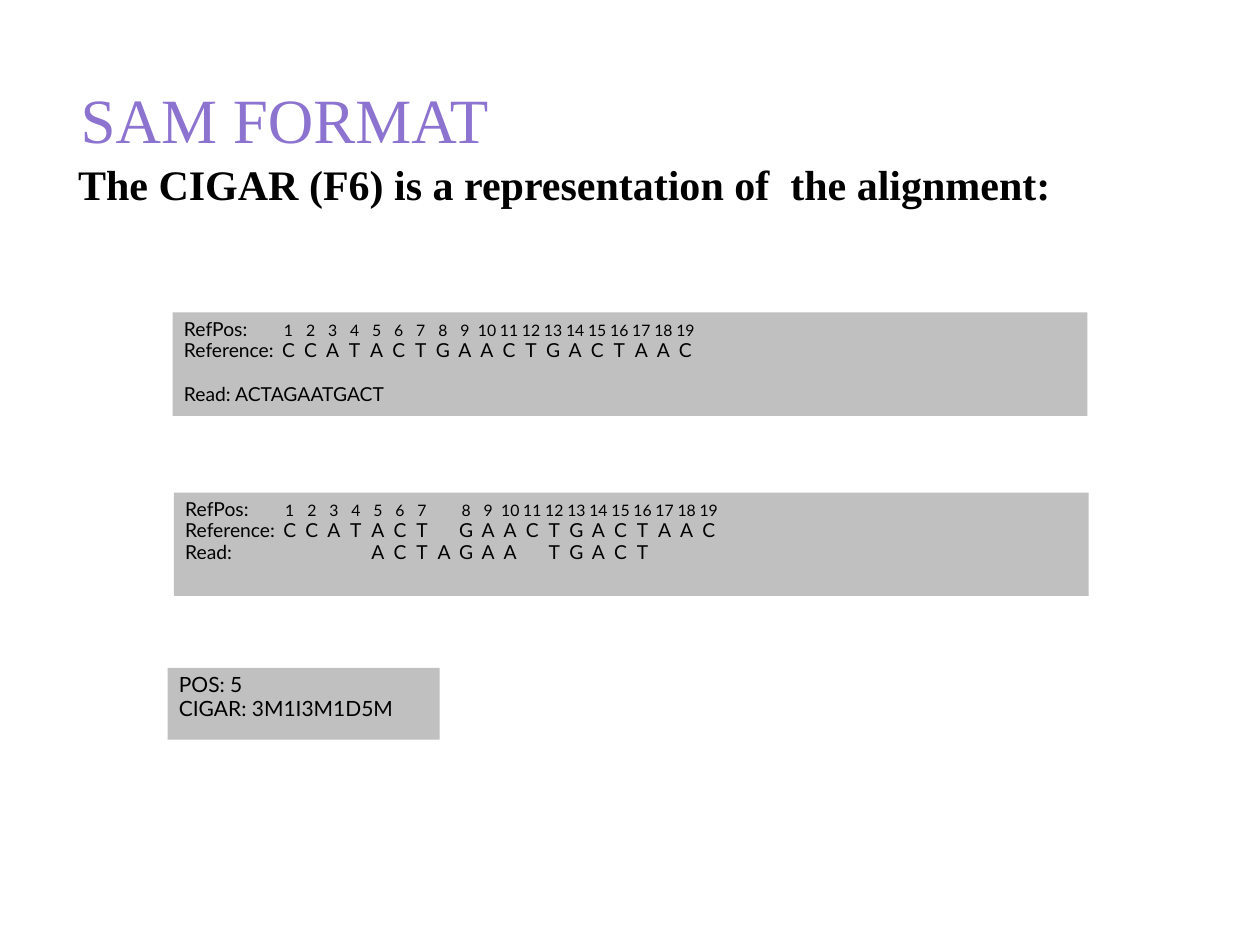
"""Build the slide that explains the CIGAR field of the SAM format."""
import pptx
import pptx.dml.color
import pptx.enum.shapes
import pptx.enum.text
import pptx.oxml.ns
import pptx.util
from lxml import etree

Inches = pptx.util.Inches
Pt = pptx.util.Pt
BLACK = pptx.dml.color.RGBColor(0x00, 0x00, 0x00)
PURPLE = pptx.dml.color.RGBColor(0x8C, 0x73, 0xD0)
GREY = pptx.dml.color.RGBColor(0xC0, 0xC0, 0xC0)
SERIF = "Times New Roman"
SANS = "Lato"
FIRST_BASE, LAST_BASE, BASES = 0.83, 3.98, 19
BASE_PITCH = (LAST_BASE - FIRST_BASE) / (BASES - 1)


def write(paragraph, text, font=SANS, size=11, color=BLACK, bold=False):
    run = paragraph.add_run()
    run.text = text
    run.font.name = font
    run.font.size = Pt(size)
    run.font.color.rgb = color
    run.font.bold = bold


def set_base_tabs(paragraph, count):
    properties = paragraph._p.get_or_add_pPr()
    tabs = etree.SubElement(properties, pptx.oxml.ns.qn("a:tabLst"))
    for column in range(count):
        position = Inches(FIRST_BASE + column * BASE_PITCH)
        etree.SubElement(tabs, pptx.oxml.ns.qn("a:tab"), pos=str(position), algn="ctr")


class AlignmentSlide:
    def __init__(self, slide):
        self.slide = slide

    def prepare(self, frame, top_inset):
        frame.word_wrap = True
        frame.vertical_anchor = pptx.enum.text.MSO_ANCHOR.TOP
        frame.margin_left = frame.margin_right = Inches(0.09)
        frame.margin_top = Inches(top_inset)
        frame.margin_bottom = Inches(0.04)
        return frame

    def heading(self, text, left, top, width, height, **style):
        box = self.slide.shapes.add_textbox(
            Inches(left), Inches(top), Inches(width), Inches(height))
        frame = self.prepare(box.text_frame, 0.06)
        write(frame.paragraphs[0], text, font=SERIF, **style)

    def panel(self, left, top, width, height):
        panel = self.slide.shapes.add_shape(
            pptx.enum.shapes.MSO_SHAPE.RECTANGLE,
            Inches(left), Inches(top), Inches(width), Inches(height))
        panel.shadow.inherit = False
        panel.fill.solid()
        panel.fill.fore_color.rgb = GREY
        panel.line.fill.background()
        return self.prepare(panel.text_frame, 0.05)

    def line(self, frame, text, size=11, gap=0):
        paragraph = frame.paragraphs[0]
        if paragraph.runs:
            paragraph = frame.add_paragraph()
        paragraph.alignment = pptx.enum.text.PP_ALIGN.LEFT
        paragraph.line_spacing = 0.94
        if gap:
            paragraph.space_before = Pt(gap)
        write(paragraph, text, size=size)
        return paragraph

    def base_row(self, frame, label, bases, size=11):
        paragraph = self.line(frame, label)
        set_base_tabs(paragraph, len(bases))
        write(paragraph, "".join("\t" + base.strip() for base in bases), size=size)


def main():
    presentation = pptx.Presentation()
    presentation.slide_width = Inches(10)
    presentation.slide_height = Inches(7.5)
    page = AlignmentSlide(presentation.slides.add_slide(presentation.slide_layouts[6]))

    page.heading("SAM FORMAT", 0.55, 0.58, 8.26, 0.7, size=36, color=PURPLE)
    page.heading("The CIGAR (F6) is a representation of  the alignment:",
                 0.53, 1.2, 9, 0.59, size=24, bold=True)

    positions = [str(number) for number in range(1, BASES + 1)]
    unaligned = page.panel(1.37, 2.48, 7.26, 0.82)
    page.base_row(unaligned, "RefPos:", positions, size=9)
    page.base_row(unaligned, "Reference:", "CCATACTGAACTGACTAAC")
    page.line(unaligned, "Read: ACTAGAATGACT", gap=12.5)

    aligned = page.panel(1.38, 3.91, 7.26, 0.82)
    page.base_row(aligned, "RefPos:", positions[:7] + [""] + positions[7:], size=9)
    page.base_row(aligned, "Reference:", "CCATACT GAACTGACTAAC")
    page.base_row(aligned, "Read:", [""] * 4 + list("ACTAGAA TGACT"))

    result = page.panel(1.33, 5.3, 2.16, 0.57)
    for text in ("POS: 5", "CIGAR: 3M1I3M1D5M"):
        page.line(result, text, size=12)

    presentation.save("out.pptx")


if __name__ == "__main__":
    main()
